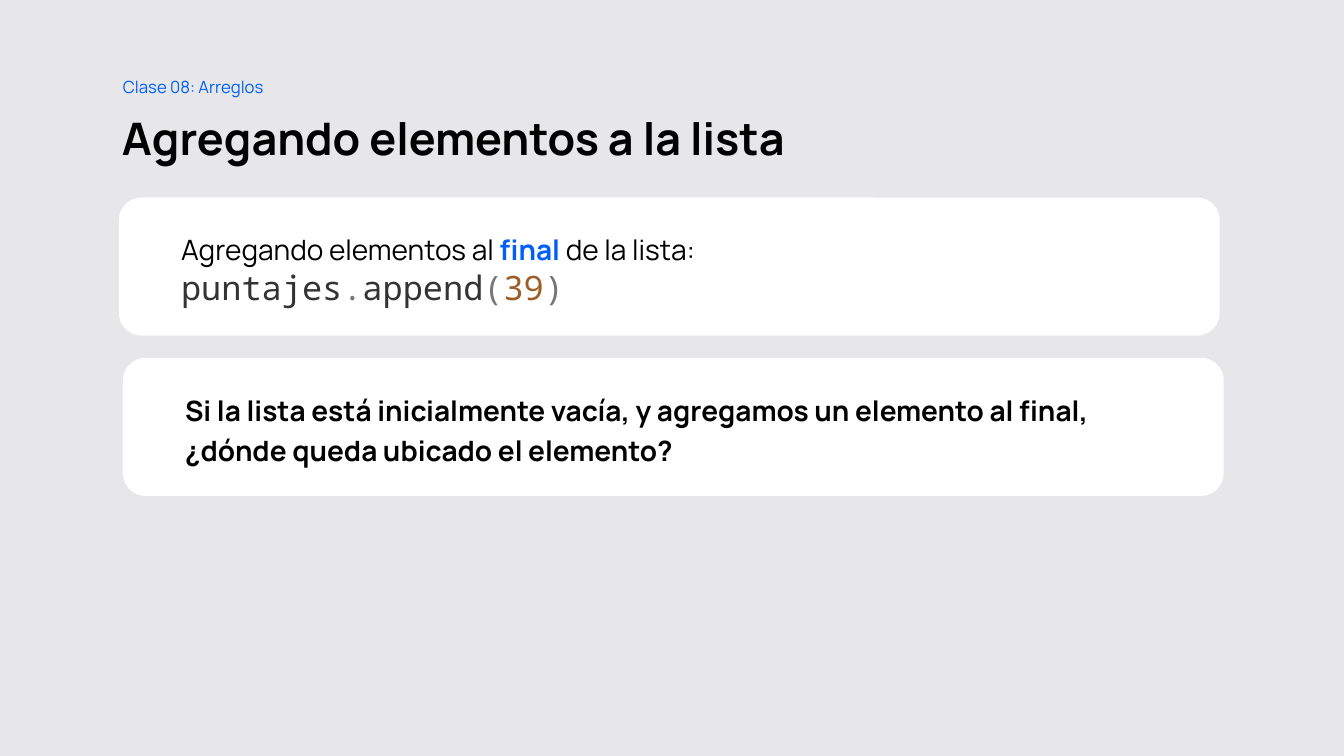
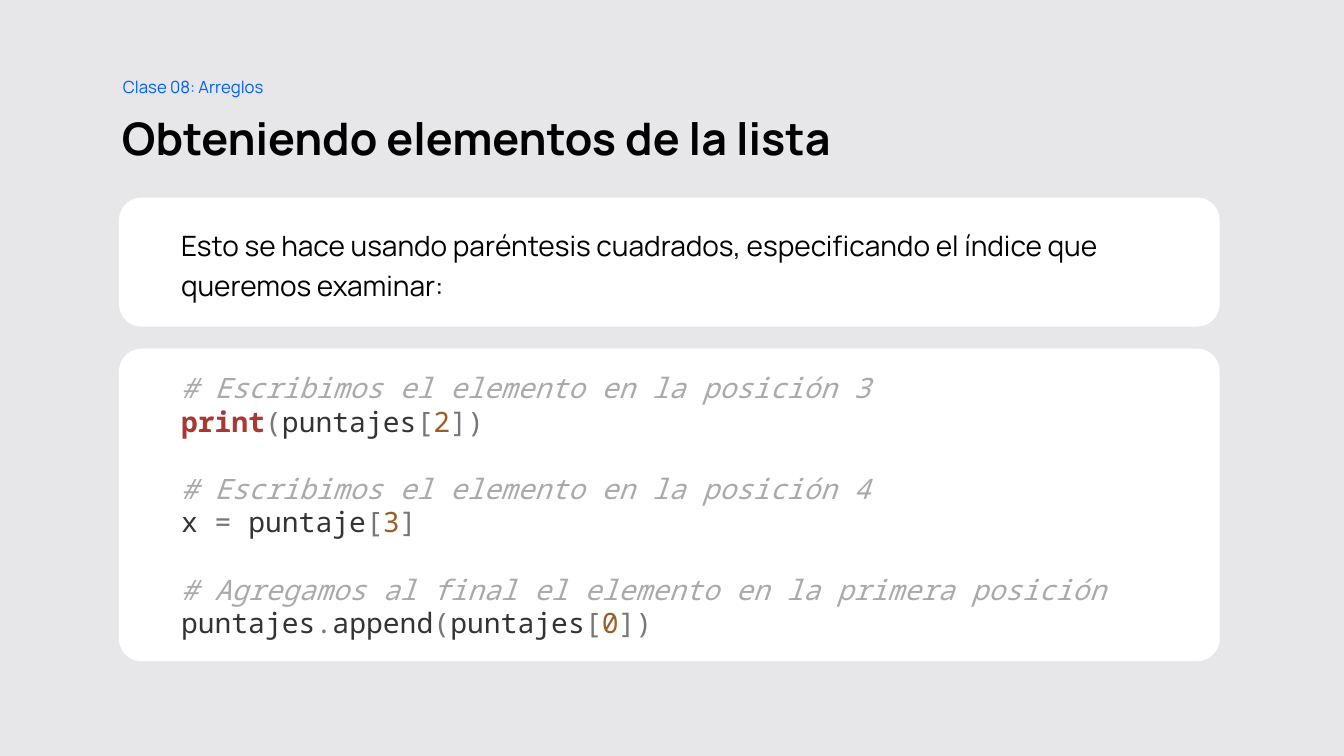
from collections import namedtuple

from pptx import Presentation
from pptx.dml.color import RGBColor
from pptx.enum.shapes import MSO_SHAPE as Shape
from pptx.enum.text import MSO_ANCHOR as Anchor, MSO_AUTO_SIZE as AutoSize, PP_ALIGN as Align
from pptx.util import Emu, Pt

SLIDE_WIDTH, SLIDE_HEIGHT = 12192000, 6858000
COLUMNS, ROWS = 160, 90
COLUMN, ROW = SLIDE_WIDTH / COLUMNS, SLIDE_HEIGHT / ROWS

GREY = RGBColor(0xE7, 0xE7, 0xE9)
WHITE = RGBColor(0xFF, 0xFF, 0xFF)
BLACK = RGBColor(0x00, 0x00, 0x00)
BLUE = RGBColor(0x00, 0x5F, 0xF9)
INK = RGBColor(0x33, 0x33, 0x33)
PUNCTUATION = RGBColor(0x77, 0x77, 0x77)
BROWN = RGBColor(0x9C, 0x5D, 0x27)
RED = RGBColor(0xAA, 0x37, 0x31)
COMMENT = RGBColor(0xAA, 0xAA, 0xAA)

SANS, MONO = "Manrope", "Noto Sans Mono"

Box = namedtuple("Box", "left top width height")
Style = namedtuple("Style", "font color bold italic", defaults=(False, False))
Line = namedtuple("Line", "runs size spacing before", defaults=(20, 1.0, 0))
Card = namedtuple("Card", "height lines shift", defaults=(0,))

STYLES = {
    "plain": Style(SANS, BLACK),
    "strong": Style(SANS, BLACK, True),
    "accent": Style(SANS, BLUE, True),
    "kicker": Style(SANS, BLUE),
    "name": Style(MONO, INK),
    "sign": Style(MONO, PUNCTUATION),
    "number": Style(MONO, BROWN),
    "keyword": Style(MONO, RED, True),
    "comment": Style(MONO, COMMENT, False, True),
}

TITLE = Box(14.52, 12, 130.2, 9)
KICKER = Box(14.64, 8.04, 19.32, 4.08)
STACK = Box(14.16, 23.52, 131.04, 55.2)
CARD_GAP, CARD_RADIUS = 2.64, 2.7
PROSE_SPACING = 1.2
CODE_BREAK = 24


def place(box):
    """Turn a box in columns and rows into slide lengths."""
    return (Emu(round(box.left * COLUMN)), Emu(round(box.top * ROW)),
            Emu(round(box.width * COLUMN)), Emu(round(box.height * ROW)))


def write(shape, lines, insets, anchor):
    """Fill a shape with styled lines; insets are left, top, right, bottom."""
    frame = shape.text_frame
    frame.word_wrap = True
    frame.vertical_anchor = anchor
    left, top, right, bottom = insets
    frame.margin_left, frame.margin_right = (Emu(round(n * COLUMN)) for n in (left, right))
    frame.margin_top, frame.margin_bottom = (Emu(round(n * ROW)) for n in (top, bottom))
    for index, line in enumerate(lines):
        paragraph = frame.add_paragraph() if index else frame.paragraphs[0]
        paragraph.alignment = Align.LEFT
        paragraph.line_spacing = line.spacing
        paragraph.space_before = Pt(line.before)
        for style_name, text in line.runs:
            style = STYLES[style_name]
            run = paragraph.add_run()
            run.text = text
            run.font.name = style.font
            run.font.size = Pt(line.size)
            run.font.bold = style.bold
            run.font.italic = style.italic
            run.font.color.rgb = style.color


def add_header(slide, title):
    """Place the class name and the slide title."""
    heading = slide.shapes.add_textbox(*place(TITLE))
    write(heading, [Line([("strong", title)], 32, 0.9)], (0, 1.2, 1.2, 0.6), Anchor.MIDDLE)
    kicker = slide.shapes.add_textbox(*place(KICKER))
    write(kicker, [Line([("kicker", "Clase 08: Arreglos")], 12, PROSE_SPACING)],
          (0, 0.6, 1.2, 0.6), Anchor.TOP)
    kicker.text_frame.auto_size = AutoSize.SHAPE_TO_FIT_TEXT


def add_card(slide, box, lines):
    """Place a white rounded card with its text."""
    card = slide.shapes.add_shape(Shape.ROUNDED_RECTANGLE, *place(box))
    card.shadow.inherit = False
    card.adjustments[0] = CARD_RADIUS / box.height
    card.fill.solid()
    card.fill.fore_color.rgb = WHITE
    card.line.fill.background()
    write(card, lines, (6.6, 0, 3.6, 0), Anchor.MIDDLE)


def add_cards(slide, area, cards):
    """Stack cards down an area with equal gaps."""
    top = area.top
    for card in cards:
        add_card(slide, Box(area.left + card.shift, top, area.width, card.height), card.lines)
        top += card.height + CARD_GAP


def add_lesson(deck, title, cards):
    """Build one slide with its header and cards."""
    slide = deck.slides.add_slide(deck.slide_layouts[6])
    slide.background.fill.solid()
    slide.background.fill.fore_color.rgb = GREY
    add_header(slide, title)
    add_cards(slide, STACK, cards)


def prose(*runs):
    """Make a line of running text."""
    return Line(runs, spacing=PROSE_SPACING)


LESSONS = [
    ("Agregando elementos a la lista", [
        Card(16.44, [
            prose(("plain", "Agregando elementos al "), ("accent", "final"),
                  ("plain", " de la lista:")),
            Line([("name", "puntajes"), ("sign", "."), ("name", "append"),
                  ("sign", "("), ("number", "39"), ("sign", ")")], 24),
        ]),
        Card(16.44, [
            prose(("strong", "Si la lista está inicialmente vacía, y agregamos un elemento "
                             "al final, ¿dónde queda ubicado el elemento?")),
        ], 0.48),
    ]),
    ("Obteniendo elementos de la lista", [
        Card(15.36, [
            prose(("plain", "Esto se hace usando paréntesis cuadrados, especificando "
                            "el índice que queremos examinar:")),
        ]),
        Card(37.2, [
            Line([("comment", "# Escribimos el elemento en la posición 3")]),
            Line([("keyword", "print"), ("sign", "("), ("name", "puntajes"),
                  ("sign", "["), ("number", "2"), ("sign", "])")]),
            Line([("comment", "# Escribimos el elemento en la posición 4")], before=CODE_BREAK),
            Line([("name", "x "), ("sign", "="), ("name", " puntaje"),
                  ("sign", "["), ("number", "3"), ("sign", "]")]),
            Line([("comment", "# Agregamos al final el elemento en la primera posición")],
                 before=CODE_BREAK),
            Line([("name", "puntajes"), ("sign", "."), ("name", "append"), ("sign", "("),
                  ("name", "puntajes"), ("sign", "["), ("number", "0"), ("sign", "])")]),
        ]),
    ]),
]


def main():
    """Build and save the deck."""
    deck = Presentation()
    deck.slide_width, deck.slide_height = Emu(SLIDE_WIDTH), Emu(SLIDE_HEIGHT)
    for title, cards in LESSONS:
        add_lesson(deck, title, cards)
    deck.save("out.pptx")


if __name__ == "__main__":
    main()
